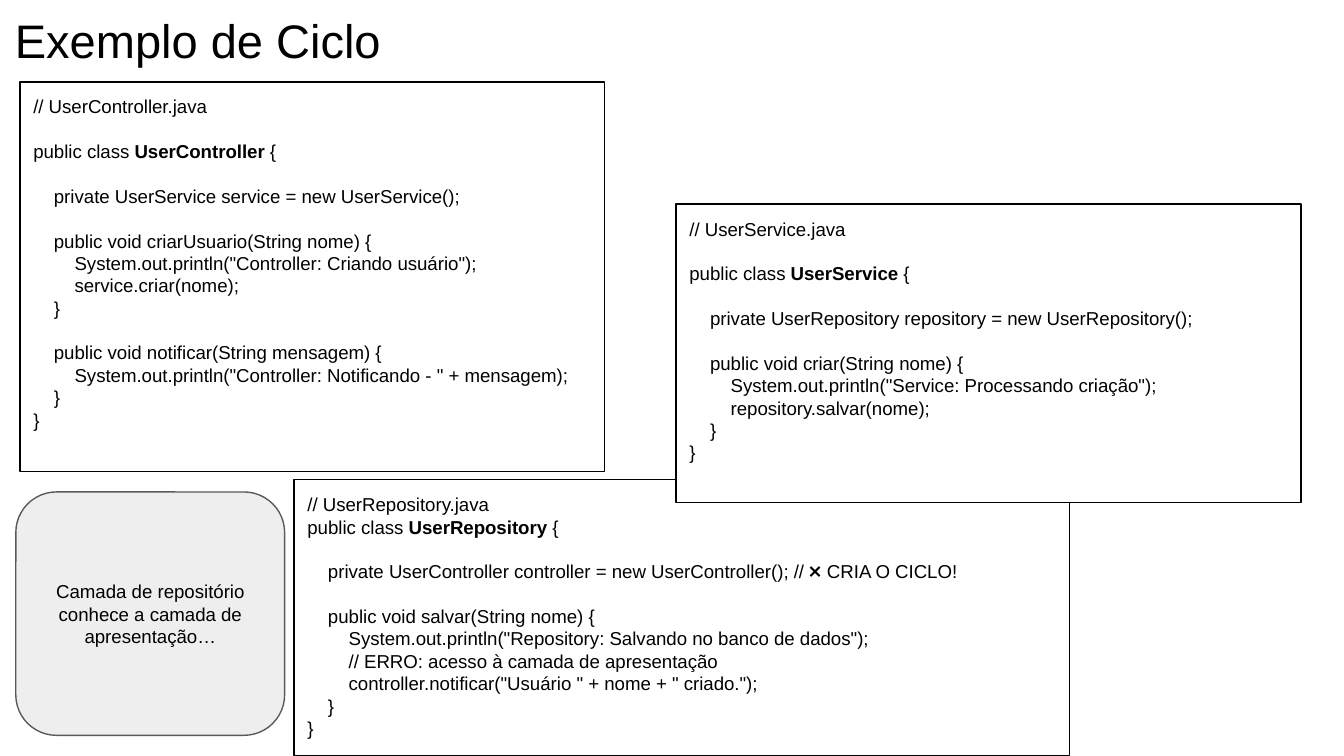
"""Builds the slide that shows a cycle of class dependencies."""
import pptx
import pptx.dml.color
import pptx.enum.shapes
import pptx.enum.text
import pptx.util
from dataclasses import dataclass

Cm, Pt = pptx.util.Cm, pptx.util.Pt
Rgb = pptx.dml.color.RGBColor.from_string
Shape = pptx.enum.shapes.MSO_SHAPE
Align = pptx.enum.text.PP_ALIGN
Anchor = pptx.enum.text.MSO_ANCHOR


@dataclass
class Theme:
    ink: str = "000000"
    paper: str = "FFFFFF"
    note: str = "EEEEEE"
    edge: str = "595959"
    font: str = "Arial"
    head: float = 25.2
    code: float = 10
    line: float = 12


theme = Theme()


def write(frame, text, size=theme.code, align=Align.LEFT, anchor=Anchor.TOP, pitch=None):
    """Fills a frame line by line; ** toggles bold and an empty line becomes a gap."""
    frame.word_wrap = True
    frame.auto_size = pptx.enum.text.MSO_AUTO_SIZE.NONE
    frame.vertical_anchor = anchor
    frame.margin_left = frame.margin_right = Cm(0.25)
    frame.margin_top = frame.margin_bottom = Cm(0.25)
    para, gap = frame.paragraphs[0], 0
    for line in text.strip().split("\n"):
        if not line:
            gap += theme.line
            continue
        if para.runs:
            para = frame.add_paragraph()
        para.alignment = align
        para.space_before = Pt(gap)
        if pitch:
            para.line_spacing = Pt(pitch)
        for turn, part in enumerate(line.split("**")):
            run = para.add_run()
            run.text = part
            run.font.name = theme.font
            run.font.size = Pt(size)
            run.font.bold = turn % 2 == 1
            run.font.color.rgb = Rgb(theme.ink)
        gap = 0


def panel(kind, place, fill, edge):
    """Adds an outlined shape and returns it."""
    shape = slide.shapes.add_shape(kind, *map(Cm, place))
    shape.shadow.inherit = False
    if fill:
        shape.fill.solid()
        shape.fill.fore_color.rgb = Rgb(fill)
    else:
        shape.fill.background()
    shape.line.color.rgb = Rgb(edge)
    shape.line.width = Pt(0.75)
    return shape


deck = pptx.Presentation()
deck.slide_width, deck.slide_height = Cm(25.4), Cm(14.29)
slide = deck.slides.add_slide(deck.slide_layouts[5])

title = slide.shapes.title
title.left, title.top, title.width, title.height = Cm(0.03), Cm(-0.03), Cm(7.87), Cm(1.6)
write(title.text_frame, "Exemplo de Ciclo", size=theme.head)

control = """
// UserController.java

public class **UserController **{

    private UserService service = new UserService();

    public void criarUsuario(String nome) {
        System.out.println("Controller: Criando usuário");
        service.criar(nome);
    }

    public void notificar(String mensagem) {
        System.out.println("Controller: Notificando - " + mensagem);
    }
}
"""

store = """
// UserRepository.java
public class **UserRepository **{

    private UserController controller = new UserController(); // ❌ CRIA O CICLO!

    public void salvar(String nome) {
        System.out.println("Repository: Salvando no banco de dados");
        // ERRO: acesso à camada de apresentação
        controller.notificar("Usuário " + nome + " criado.");
    }
}
"""

service = """
// UserService.java

public class **UserService **{

    private UserRepository repository = new UserRepository();

    public void criar(String nome) {
        System.out.println("Service: Processando criação");
        repository.salvar(nome);
    }
}
"""

cards = [
    (control, (0.38, 1.55, 11.05, 7.37), None),
    (store, (5.56, 9.07, 14.66, 5.21), None),
    (service, (12.78, 3.86, 11.81, 5.64), theme.paper),
]
for code, place, fill in cards:
    card = panel(Shape.RECTANGLE, place, fill, theme.ink)
    write(card.text_frame, code, pitch=theme.line)

note = panel(Shape.ROUNDED_RECTANGLE, (0.3, 9.3, 5.08, 4.6), theme.note, theme.edge)
write(note.text_frame, "Camada de repositório conhece a camada de apresentação…",
      align=Align.CENTER, anchor=Anchor.MIDDLE, pitch=theme.line)

deck.save("out.pptx")
